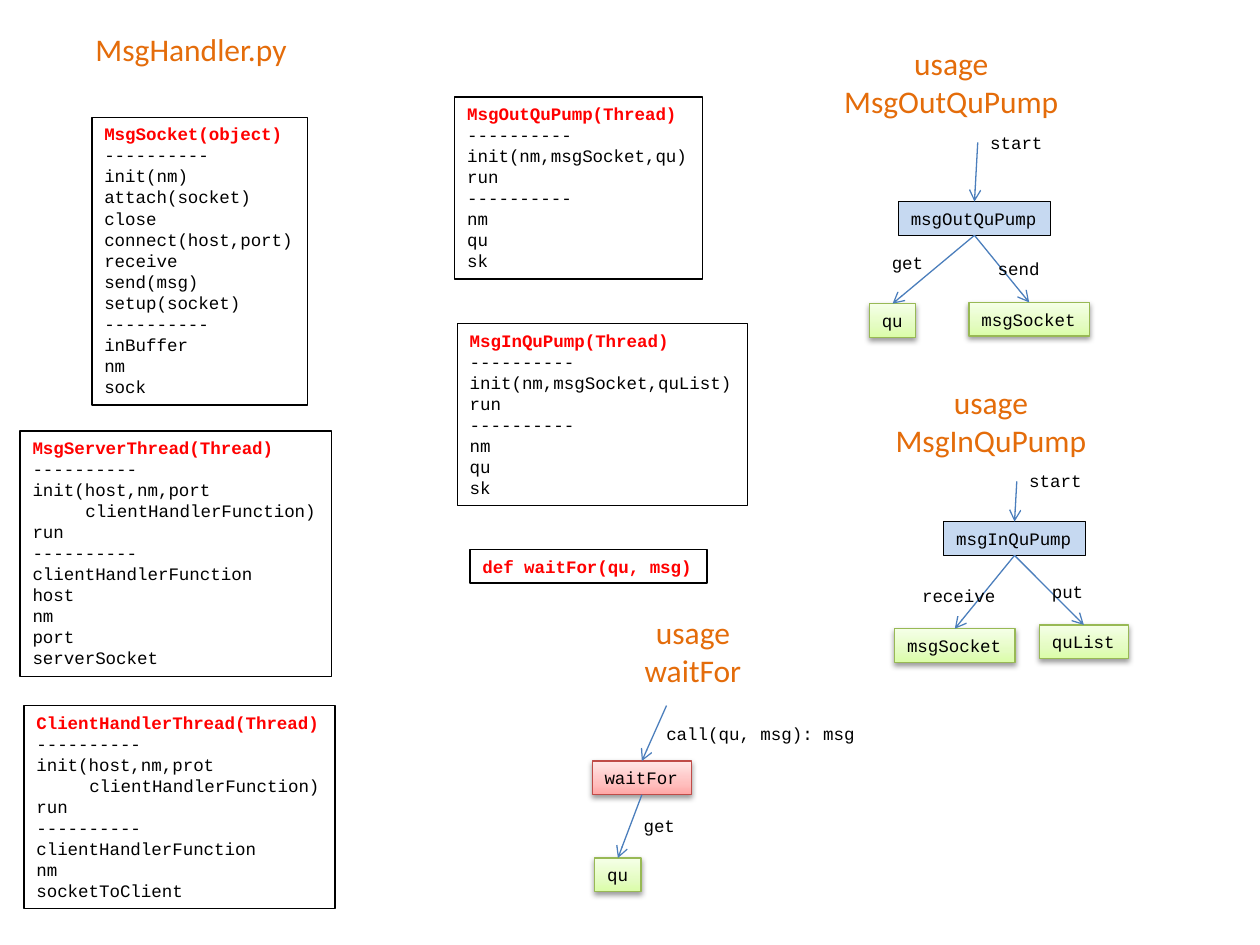
from dataclasses import dataclass
from typing import NamedTuple

from lxml.etree import SubElement
from pptx import Presentation
from pptx.dml.color import RGBColor
from pptx.enum.shapes import MSO_CONNECTOR, MSO_SHAPE
from pptx.enum.text import MSO_ANCHOR, MSO_AUTO_SIZE, PP_ALIGN
from pptx.oxml.ns import qn
from pptx.util import Inches, Pt


@dataclass(frozen=True)
class Theme:
    heading_font: str = "Calibri"
    code_font: str = "Courier New"
    heading_size: float = 18
    code_size: float = 10
    char_width: float = 6.05
    line_height: float = 12.1
    line_width: float = 0.75
    heading: str = "E46C0A"
    class_name: str = "FF0000"
    ink: str = "000000"
    arrow: str = "4B7EBC"


class NodeStyle(NamedTuple):
    stops: tuple[str, ...]  # one colour is a solid fill, three a gradient
    outline: str


class Line(NamedTuple):
    text: str
    indent: int = 0  # in characters
    title: bool = False


class ClassBox(NamedTuple):
    left: float
    top: float
    name: str
    sections: tuple[tuple[str | Line, ...], ...] = ()


class Heading(NamedTuple):
    left: float
    top: float
    width: float
    lines: tuple[str, ...]


class Node(NamedTuple):
    left: float
    top: float
    text: str
    style: NodeStyle


class Label(NamedTuple):
    left: float
    top: float
    text: str


@dataclass(frozen=True)
class Usage:
    heading: Heading
    start: tuple[float, float]
    caller: Node
    targets: tuple[Node, ...]
    labels: tuple[Label, ...]


THEME = Theme()
THREAD = NodeStyle(("C6D9F1",), "000000")
OBJECT = NodeStyle(("DAFDA7", "E4FCC2", "F5FFE7"), "98B955")
FUNCTION = NodeStyle(("FFA6A5", "FFC0BF", "FFE7E7"), "BF4C48")
STOP_POSITIONS = (0, 35, 100)
RULE = "-" * 10
TOP_SITE, BOTTOM_SITE = 0, 2
HANDLER_ARGUMENT = Line("clientHandlerFunction)", indent=5)

CLASSES = (
    ClassBox(0.73, 0.93, "MsgSocket(object)", (
        ("init(nm)", "attach(socket)", "close", "connect(host,port)",
         "receive", "send(msg)", "setup(socket)"),
        ("inBuffer", "nm", "sock"))),
    ClassBox(0.16, 3.42, "MsgServerThread(Thread)", (
        ("init(host,nm,port", HANDLER_ARGUMENT, "run"),
        ("clientHandlerFunction", "host", "nm", "port", "serverSocket"))),
    ClassBox(0.19, 5.6, "ClientHandlerThread(Thread)", (
        ("init(host,nm,prot", HANDLER_ARGUMENT, "run"),
        ("clientHandlerFunction", "nm", "socketToClient"))),
    ClassBox(3.61, 0.77, "MsgOutQuPump(Thread)", (
        ("init(nm,msgSocket,qu)", "run"), ("nm", "qu", "sk"))),
    ClassBox(3.63, 2.57, "MsgInQuPump(Thread)", (
        ("init(nm,msgSocket,quList)", "run"), ("nm", "qu", "sk"))),
    ClassBox(3.73, 4.36, "def waitFor(qu, msg)"),
)

USAGES = (
    Usage(Heading(6.59, 0.3, 1.92, ("usage", "MsgOutQuPump")), (7.76, 1.13),
          Node(7.13, 1.6, "msgOutQuPump", THREAD),
          (Node(7.69, 2.4, "msgSocket", OBJECT), Node(6.9, 2.41, "qu", OBJECT)),
          (Label(7.76, 1, "start"), Label(7.82, 2, "send"), Label(6.98, 1.95, "get"))),
    Usage(Heading(7, 2.99, 1.73, ("usage", "MsgInQuPump")), (8.07, 3.82),
          Node(7.49, 4.14, "msgInQuPump", THREAD),
          (Node(7.1, 4.99, "msgSocket", OBJECT), Node(8.25, 4.96, "quList", OBJECT)),
          (Label(8.07, 3.68, "start"), Label(8.25, 4.56, "put"), Label(7.22, 4.59, "receive"))),
    Usage(Heading(5.01, 4.82, 0.98, ("usage", "waitFor")), (5.29, 5.6),
          Node(4.7, 6.04, "waitFor", FUNCTION),
          (Node(4.72, 6.81, "qu", OBJECT),),
          (Label(5.19, 5.69, "call(qu, msg): msg"), Label(5.01, 6.42, "get"))),
)


def color(value: str) -> RGBColor:
    return RGBColor.from_string(value)


def code_extent(lines: list[Line]) -> tuple[int, int]:
    """Box size that fits the monospaced lines plus the default insets."""
    columns = max(line.indent + len(line.text) for line in lines)
    return (Inches(0.2) + Pt(THEME.char_width * columns),
            Inches(0.1) + Pt(THEME.line_height * len(lines)))


def prepare_frame(shape):
    frame = shape.text_frame
    frame.word_wrap = False
    frame.auto_size = MSO_AUTO_SIZE.SHAPE_TO_FIT_TEXT
    frame.vertical_anchor = MSO_ANCHOR.TOP
    return frame


def add_line(frame, index: int, text: str, font: str, size: float, ink: str,
             align=PP_ALIGN.LEFT, bold: bool = False):
    paragraph = frame.add_paragraph() if index else frame.paragraphs[0]
    paragraph.alignment = align
    run = paragraph.add_run()
    run.text = text
    run.font.name, run.font.size, run.font.bold = font, Pt(size), bold
    run.font.color.rgb = color(ink)
    return paragraph


def write_code(shape, lines: list[Line]) -> None:
    frame = prepare_frame(shape)
    for index, line in enumerate(lines):
        ink = THEME.class_name if line.title else THEME.ink
        paragraph = add_line(frame, index, line.text, THEME.code_font,
                             THEME.code_size, ink, bold=line.title)
        if line.indent:
            margin = Pt(THEME.char_width * line.indent)
            paragraph._p.get_or_add_pPr().set("marL", str(margin))


def add_code_box(slide, left: float, top: float, lines: list[Line], outline: str):
    box = slide.shapes.add_shape(MSO_SHAPE.RECTANGLE, Inches(left), Inches(top),
                                 *code_extent(lines))
    box.shadow.inherit = False
    box.fill.background()
    box.line.color.rgb = color(outline)
    box.line.width = Pt(THEME.line_width)
    write_code(box, lines)
    return box


def add_class(slide, item: ClassBox) -> None:
    lines = [Line(item.name, title=True)]
    for section in item.sections:
        lines.append(Line(RULE))
        lines += [m if isinstance(m, Line) else Line(m) for m in section]
    add_code_box(slide, item.left, item.top, lines, THEME.ink)


def add_heading(slide, item: Heading, align=PP_ALIGN.CENTER) -> None:
    height = 0.1 + 0.3 * len(item.lines)
    box = slide.shapes.add_textbox(Inches(item.left), Inches(item.top),
                                   Inches(item.width), Inches(height))
    frame = prepare_frame(box)
    for index, text in enumerate(item.lines):
        add_line(frame, index, text, THEME.heading_font, THEME.heading_size,
                 THEME.heading, align)


def add_label(slide, item: Label) -> None:
    lines = [Line(item.text)]
    box = slide.shapes.add_textbox(Inches(item.left), Inches(item.top), *code_extent(lines))
    write_code(box, lines)


def add_color_xml(parent, value: str):
    return SubElement(parent, qn("a:srgbClr"), val=value)


def add_node(slide, item: Node):
    box = add_code_box(slide, item.left, item.top, [Line(item.text)], item.style.outline)
    if len(item.style.stops) == 1:
        box.fill.solid()
        box.fill.fore_color.rgb = color(item.style.stops[0])
        return box
    # Three-stop gradient running upwards, with a soft shadow below
    box.fill.gradient()
    box.fill.gradient_angle = 90
    properties = box._element.spPr
    stop_list = properties.find(".//" + qn("a:gsLst"))
    for stop in list(stop_list):
        stop_list.remove(stop)
    for position, value in zip(STOP_POSITIONS, item.style.stops):
        add_color_xml(SubElement(stop_list, qn("a:gs"), pos=str(position * 1000)), value)
    shadow = SubElement(properties.find(qn("a:effectLst")), qn("a:outerShdw"),
                        blurRad=str(Pt(3.1)), dist=str(Pt(1.6)), dir="5400000", rotWithShape="0")
    SubElement(add_color_xml(shadow, THEME.ink), qn("a:alpha"), val="38000")
    return box


def add_arrow(slide, target, start: tuple[float, float] = (0, 0), source=None) -> None:
    x, y = map(Inches, start)
    arrow = slide.shapes.add_connector(MSO_CONNECTOR.STRAIGHT, x, y, x, y)
    if source is not None:
        arrow.begin_connect(source, BOTTOM_SITE)
    arrow.end_connect(target, TOP_SITE)
    arrow.line.color.rgb = color(THEME.arrow)
    arrow.line.width = Pt(THEME.line_width)
    SubElement(arrow.line._get_or_add_ln(), qn("a:tailEnd"), type="arrow")
    SubElement(arrow._element.spPr, qn("a:effectLst"))


def add_usage(slide, usage: Usage) -> None:
    add_heading(slide, usage.heading)
    caller = add_node(slide, usage.caller)
    add_arrow(slide, caller, start=usage.start)
    for target in usage.targets:
        add_arrow(slide, add_node(slide, target), source=caller)
    for label in usage.labels:
        add_label(slide, label)


def main() -> None:
    deck = Presentation()
    deck.slide_width, deck.slide_height = Inches(10), Inches(7.5)
    slide = deck.slides.add_slide(deck.slide_layouts[6])
    # Module title and its classes
    add_heading(slide, Heading(0.66, 0.19, 1.74, ("MsgHandler.py",)), PP_ALIGN.LEFT)
    for item in CLASSES:
        add_class(slide, item)
    # Usage diagrams
    for usage in USAGES:
        add_usage(slide, usage)
    deck.save("out.pptx")


if __name__ == "__main__":
    main()
